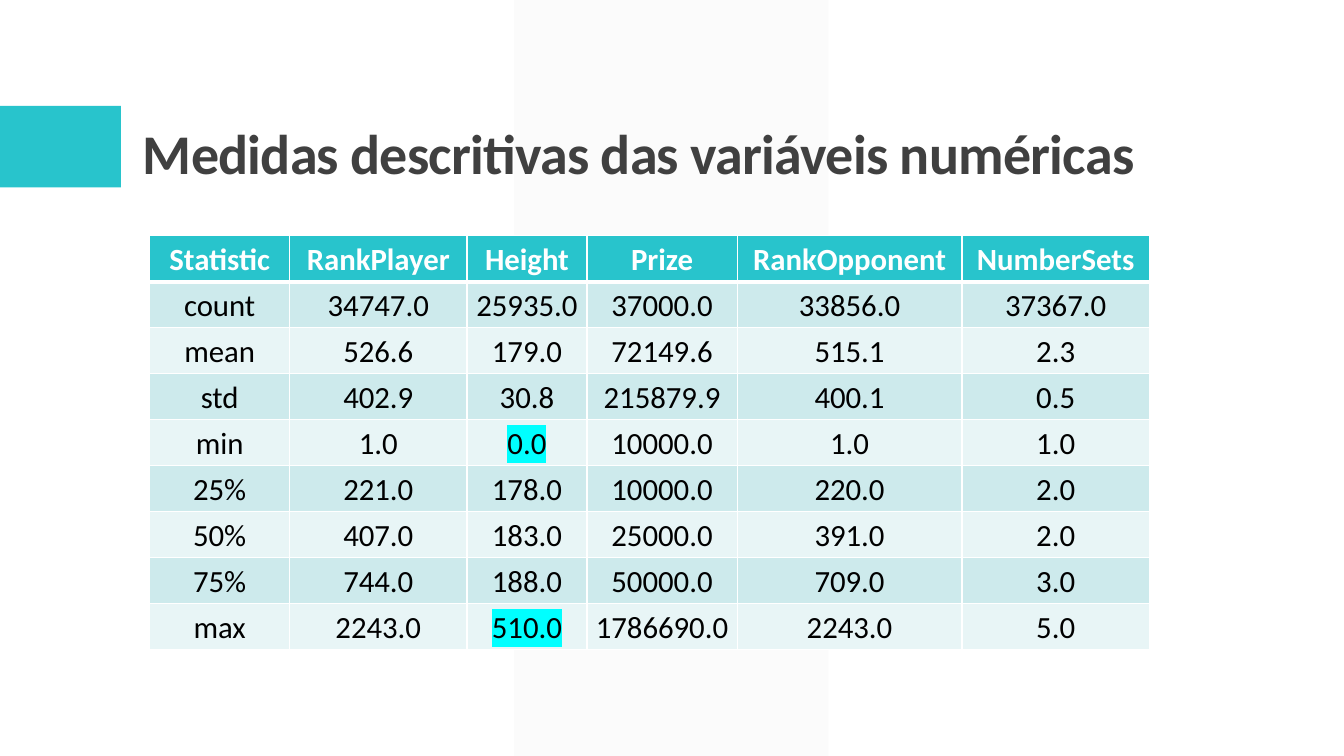
from dataclasses import dataclass

from lxml.etree import SubElement
from pptx import Presentation
from pptx.dml.color import RGBColor as Rgb
from pptx.enum.shapes import MSO_SHAPE as Preset
from pptx.enum.text import MSO_ANCHOR as Anchor, PP_ALIGN as Align
from pptx.oxml import parse_xml
from pptx.oxml.ns import nsdecls, qn
from pptx.shapes.autoshape import Shape
from pptx.slide import Slide
from pptx.table import Table, _Cell as Cell
from pptx.text.text import _Run as Run
from pptx.util import Pt

COLORS = {
    "background": "FFFFFF",
    "band": "F2F2F2",
    "accent": "28C4CC",
    "title": "404040",
    "header_text": "FFFFFF",
    "body_text": "000000",
    "odd_row": "CDEAEC",
    "even_row": "E8F5F6",
    "grid": "FFFFFF",
    "highlight": "00FFFF",
}

STATISTICS = [
    ["Statistic", "RankPlayer", "Height", "Prize", "RankOpponent", "NumberSets"],
    ["count", "34747.0", "25935.0", "37000.0", "33856.0", "37367.0"],
    ["mean", "526.6", "179.0", "72149.6", "515.1", "2.3"],
    ["std", "402.9", "30.8", "215879.9", "400.1", "0.5"],
    ["min", "1.0", "0.0", "10000.0", "1.0", "1.0"],
    ["25%", "221.0", "178.0", "10000.0", "220.0", "2.0"],
    ["50%", "407.0", "183.0", "25000.0", "391.0", "2.0"],
    ["75%", "744.0", "188.0", "50000.0", "709.0", "3.0"],
    ["max", "2243.0", "510.0", "1786690.0", "2243.0", "5.0"],
]
SUSPECT_HEIGHTS = {(4, 2), (8, 2)}
COLUMN_WIDTHS = [100, 126.7, 85.7, 107.3, 160.6, 133.9]
ROW_HEIGHT = 32.88

CELL_FORMAT = {
    "margin_left": Pt(1.44),
    "margin_top": Pt(1.44),
    "margin_right": Pt(1.44),
    "margin_bottom": Pt(0),
    "vertical_anchor": Anchor.MIDDLE,
}
TABLE_FORMAT = {"first_row": False, "horz_banding": False}
TITLE_FRAME_FORMAT = {"word_wrap": True, "vertical_anchor": Anchor.BOTTOM}
TITLE_FONT = {"name": "Calibri", "size": Pt(40), "bold": True}
HEADER_FONT = {"name": "Calibri", "size": Pt(22), "bold": True}
BODY_FONT = {**HEADER_FONT, "bold": False}


@dataclass(frozen=True)
class Decoration:
    preset: Preset
    left: float
    top: float
    width: float
    height: float
    color: str
    opacity: int = 100


DECORATIONS = [
    Decoration(Preset.PARALLELOGRAM, 367.2, 0, 224.6, 540, "band", 30),
    Decoration(Preset.RECTANGLE, 0, 75.6, 86.4, 58.3, "accent"),
]


def rgb(color: str) -> Rgb:
    return Rgb.from_string(COLORS[color])


def apply_format(target: object, values: dict) -> None:
    for attribute, value in values.items():
        setattr(target, attribute, value)


def style_run(run: Run, font_format: dict, color: str) -> None:
    apply_format(run.font, font_format)
    run.font.color.rgb = rgb(color)


def draw_decoration(slide: Slide, decoration: Decoration) -> Shape:
    block = slide.shapes.add_shape(
        decoration.preset,
        Pt(decoration.left), Pt(decoration.top),
        Pt(decoration.width), Pt(decoration.height),
    )
    block.shadow.inherit = False
    block.line.fill.background()
    block.fill.solid()
    block.fill.fore_color.rgb = rgb(decoration.color)
    if decoration.preset == Preset.PARALLELOGRAM:
        block.adjustments[0] = 0
    if decoration.opacity < 100:
        tint = block.fill._xPr.find(qn("a:solidFill"))[0]
        SubElement(tint, qn("a:alpha"), val=str(decoration.opacity * 1000))
    return block


def draw_title(slide: Slide, wording: str) -> None:
    title = slide.shapes.add_textbox(Pt(95), Pt(22.3), Pt(792), Pt(114.5))
    apply_format(title.text_frame, TITLE_FRAME_FORMAT)
    heading = title.text_frame.paragraphs[0]
    heading.line_spacing = 0.9
    run = heading.add_run()
    run.text = wording
    style_run(run, TITLE_FONT, "title")
    run.font._element.set("spc", "-50")


def draw_borders(cell: Cell, row: int) -> None:
    widths = {
        "lnL": 1,
        "lnR": 1,
        "lnT": 3 if row == 1 else 1,
        "lnB": 3 if row == 0 else 1,
    }
    properties = cell._tc.get_or_add_tcPr()
    for position, (side, width) in enumerate(widths.items()):
        border = parse_xml(
            f'<a:{side} {nsdecls("a")} w="{Pt(width)}"><a:solidFill>'
            f'<a:srgbClr val="{COLORS["grid"]}"/></a:solidFill></a:{side}>'
        )
        properties.insert(position, border)


def highlight(run: Run) -> None:
    marker = parse_xml(
        f'<a:highlight {nsdecls("a")}>'
        f'<a:srgbClr val="{COLORS["highlight"]}"/></a:highlight>'
    )
    run.font._element.find(qn("a:solidFill")).addnext(marker)


def fill_cell(table: Table, row: int, column: int, wording: str) -> None:
    cell = table.cell(row, column)
    apply_format(cell, CELL_FORMAT)
    is_header = row == 0
    cell.fill.solid()
    cell.fill.fore_color.rgb = rgb(
        "accent" if is_header else "odd_row" if row % 2 else "even_row"
    )
    draw_borders(cell, row)
    entry = cell.text_frame.paragraphs[0]
    entry.alignment = Align.CENTER
    run = entry.add_run()
    run.text = wording
    if is_header:
        style_run(run, HEADER_FONT, "header_text")
    else:
        style_run(run, BODY_FONT, "body_text")
    if (row, column) in SUSPECT_HEIGHTS:
        highlight(run)


def draw_statistics(slide: Slide) -> None:
    table = slide.shapes.add_table(
        len(STATISTICS), len(COLUMN_WIDTHS),
        Pt(106.9), Pt(168.5),
        Pt(sum(COLUMN_WIDTHS)), Pt(ROW_HEIGHT * len(STATISTICS)),
    ).table
    apply_format(table, TABLE_FORMAT)
    for column, width in zip(table.columns, COLUMN_WIDTHS):
        column.width = Pt(width)
    for row, entries in enumerate(STATISTICS):
        table.rows[row].height = Pt(ROW_HEIGHT)
        for column, wording in enumerate(entries):
            fill_cell(table, row, column, wording)


def main() -> None:
    deck = Presentation()
    apply_format(deck, {"slide_width": Pt(960), "slide_height": Pt(540)})
    slide = deck.slides.add_slide(deck.slide_layouts[6])
    slide.background.fill.solid()
    slide.background.fill.fore_color.rgb = rgb("background")
    for decoration in DECORATIONS:
        draw_decoration(slide, decoration)
    draw_title(slide, "Medidas descritivas das variáveis numéricas")
    draw_statistics(slide)
    deck.save("out.pptx")


if __name__ == "__main__":
    main()
